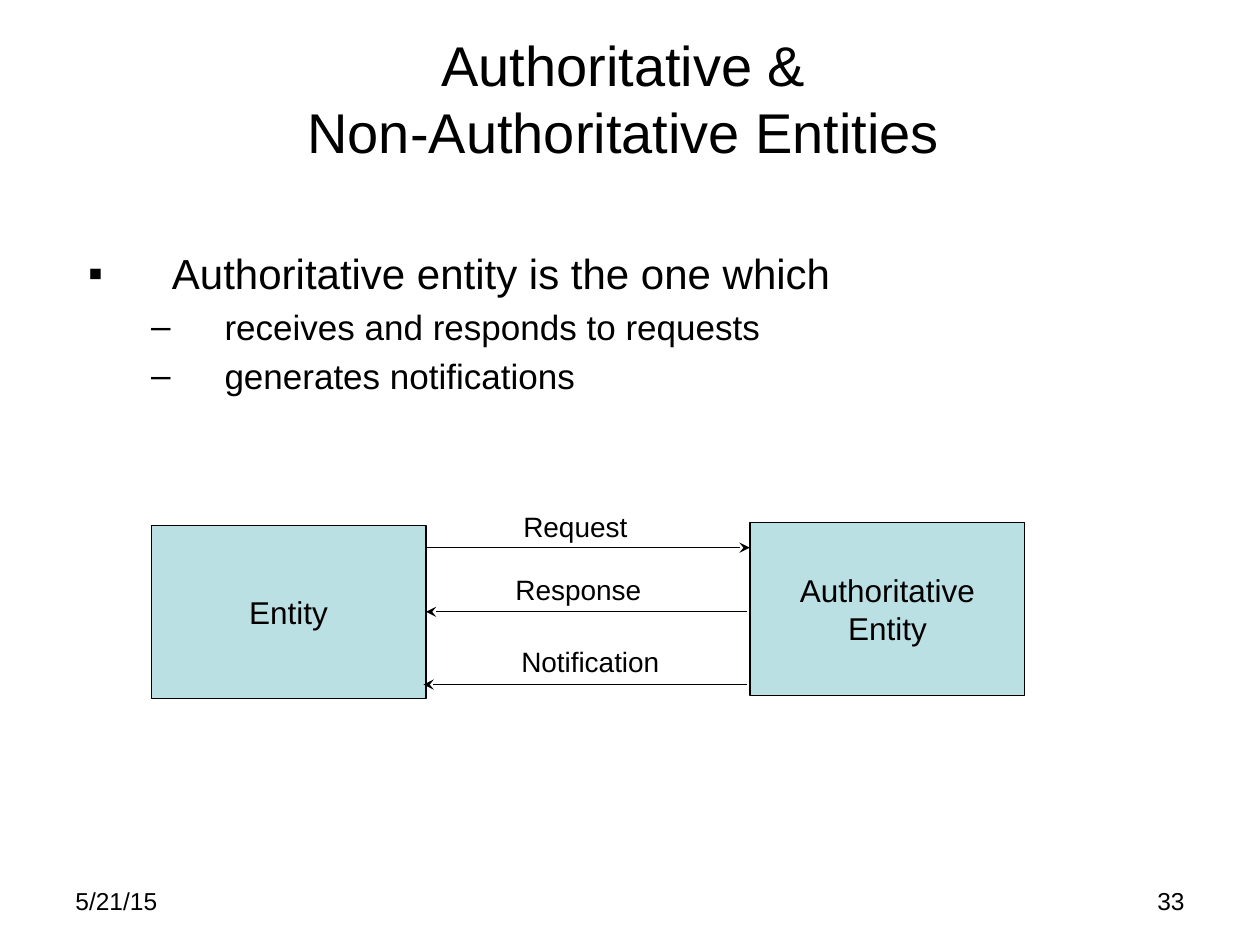
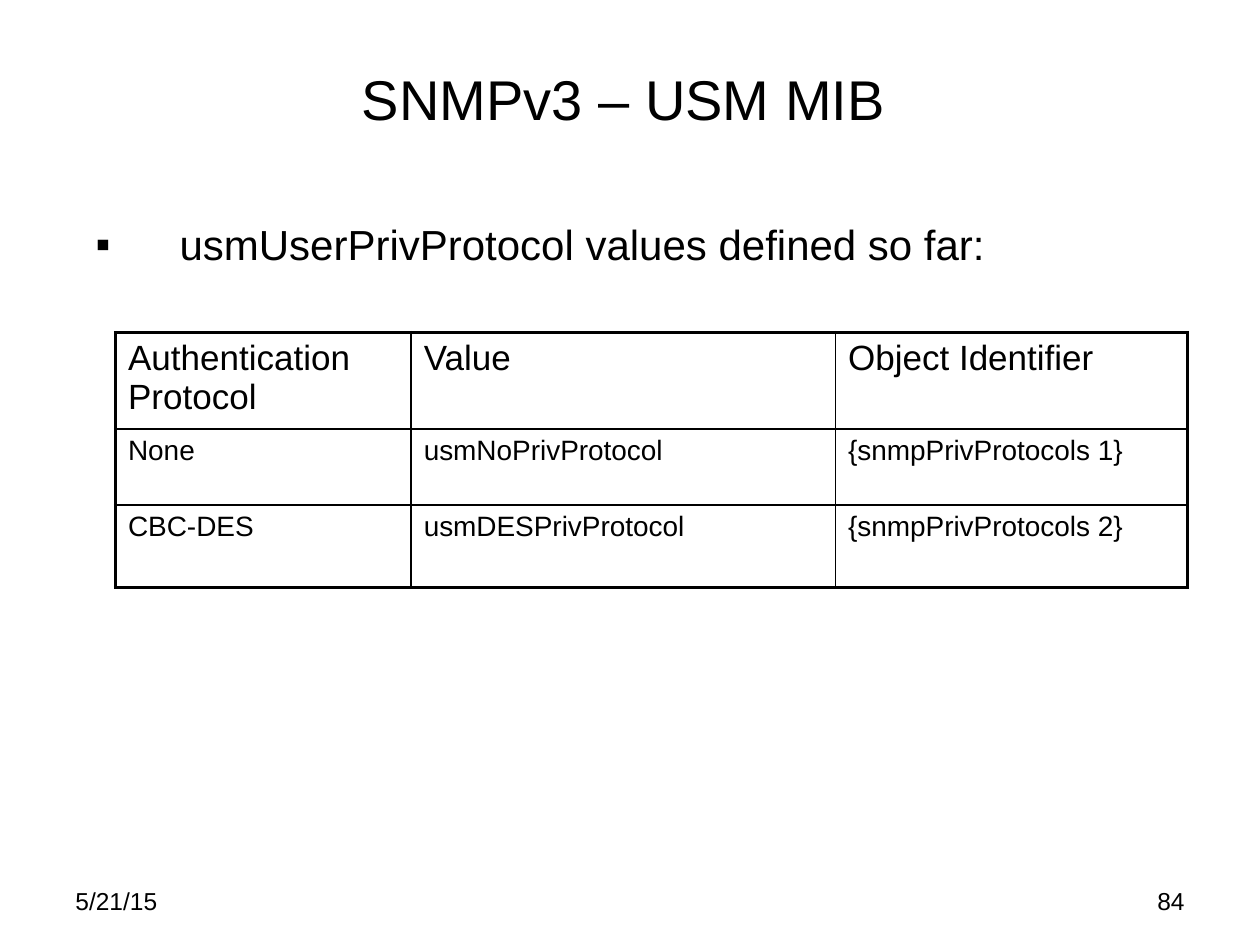
from dataclasses import dataclass

from lxml import etree
from pptx import Presentation
from pptx.dml.color import RGBColor
from pptx.enum import shapes, text
from pptx.oxml import ns
from pptx.util import Pt


@dataclass(frozen=True)
class Theme:
    font: str = "Arial"
    ink: str = "000000"
    paper: str = "FFFFFF"
    box: str = "BBE0E3"
    title: int = 32
    head: int = 24
    sub: int = 20
    shape: int = 18
    label: int = 16
    foot: int = 14
    thin: float = 0.75
    rule: float = 1
    frame: float = 2.25


T = Theme()
LEFT, MID, RIGHT = text.PP_ALIGN.LEFT, text.PP_ALIGN.CENTER, text.PP_ALIGN.RIGHT
# Per level: bullet, type size, text indent
LEVELS = [("▪", T.head, 48, 48), ("–", T.sub, 78, 42)]


def color(code):
    return RGBColor.from_string(code)


def sub(node, tag, **attrs):
    return etree.SubElement(node, ns.qn(tag), attrs)


# Text
def write(par, words, size=T.label, align=LEFT, before=0):
    par.text = words
    par.alignment = align
    par.space_before = Pt(before)
    for run in par.runs:
        run.font.name = T.font
        run.font.size = Pt(size)
        run.font.color.rgb = color(T.ink)


def label(slide, words, x, y, w, h, mid=False, **form):
    frame = slide.shapes.add_textbox(Pt(x), Pt(y), Pt(w), Pt(h)).text_frame
    frame.word_wrap = True
    if mid:
        frame.vertical_anchor = text.MSO_ANCHOR.MIDDLE
    write(frame.paragraphs[0], words, **form)
    return frame


def bullets(slide, items, x, y):
    box = slide.shapes.add_textbox(Pt(x), Pt(y), Pt(641), Pt(335.5))
    frame = box.text_frame
    frame.word_wrap = True
    for i, (level, words) in enumerate(items):
        par = frame.add_paragraph() if i else frame.paragraphs[0]
        mark, size, left, hang = LEVELS[level]
        write(par, words, size=size, before=size * 0.2)
        par.level = level
        props = par._p.get_or_add_pPr()
        props.set("marL", str(Pt(left)))
        props.set("indent", str(-Pt(hang)))
        sub(props, "a:buFont", typeface=T.font)
        sub(props, "a:buChar", char=mark)


# Diagram parts
def block(slide, lines, x, y):
    box = slide.shapes.add_shape(
        shapes.MSO_SHAPE.RECTANGLE, Pt(x), Pt(y), Pt(157), Pt(98.8))
    box.shadow.inherit = False
    box.fill.solid()
    box.fill.fore_color.rgb = color(T.box)
    box.line.color.rgb = color(T.ink)
    box.line.width = Pt(T.thin)
    frame = box.text_frame
    frame.word_wrap = False
    frame.vertical_anchor = text.MSO_ANCHOR.MIDDLE
    for i, words in enumerate(lines):
        par = frame.add_paragraph() if i else frame.paragraphs[0]
        write(par, words, size=T.shape, align=MID)
    return box


def arrow(slide, start, end, y):
    line = slide.shapes.add_connector(
        shapes.MSO_CONNECTOR.STRAIGHT, Pt(start), Pt(y), Pt(end), Pt(y))
    line.line.color.rgb = color(T.ink)
    line.line.width = Pt(T.thin)
    sub(line.line._get_or_add_ln(), "a:tailEnd", type="stealth")
    sub(line._element.spPr, "a:effectLst")
    return line


# Table
def border(cell, sides):
    props = cell._tc.get_or_add_tcPr()
    for i, (side, width) in enumerate(sides.items()):
        line = etree.Element(ns.qn(f"a:ln{side}"), w=str(Pt(width)))
        sub(sub(line, "a:solidFill"), "a:srgbClr", val=T.ink)
        props.insert(i, line)


def grid(slide, rows, x, y, widths, heights):
    table = slide.shapes.add_table(
        len(rows), len(widths), Pt(x), Pt(y),
        Pt(sum(widths)), Pt(sum(heights))).table
    table.first_row = table.horz_banding = False
    for col, width in zip(table.columns, widths):
        col.width = Pt(width)
    for row, height in zip(table.rows, heights):
        row.height = Pt(height)
    for r, row in enumerate(rows):
        for c, words in enumerate(row):
            cell = table.cell(r, c)
            cell.fill.solid()
            cell.fill.fore_color.rgb = color(T.paper)
            size = T.label if r else T.sub
            write(cell.text_frame.paragraphs[0], words, size=size,
                  before=size * 0.2)
            edges = {"L": c == 0, "R": c == len(widths) - 1,
                     "T": r == 0, "B": r == len(rows) - 1}
            border(cell, {side: T.frame if outer else T.rule
                          for side, outer in edges.items()})


# Shared slide frame
def page(deck, title, number):
    slide = deck.slides.add_slide(deck.slide_layouts[6])
    label(slide, "5/21/15", 36, 502.5, 168, 37.5, size=T.foot)
    label(slide, number, 516, 502.5, 168, 37.5, size=T.foot, align=RIGHT)
    label(slide, title, 32.4, 10.8, 648, 90, mid=True, size=T.title, align=MID)
    return slide


def roles(deck):
    slide = page(deck, "Authoritative &\vNon-Authoritative Entities", "33")
    bullets(slide, [(0, "Authoritative entity is the one which"),
                    (1, "receives and responds to requests"),
                    (1, "generates notifications")], 43.2, 138)

    # Two entities and their messages
    near = block(slide, ["Entity"], 86.4, 300.2)
    block(slide, ["Authoritative", "Entity"], 428.6, 298.5)
    arrow(slide, 243.4, 428.4, 313)
    reply = arrow(slide, 427, 243.4, 349.6)
    reply.end_connect(near, 3)
    arrow(slide, 427, 242, 391.2)
    for words, x, y in [("Request", 292, 287.5), ("Response", 287.5, 323.8),
                        ("Notification", 290.8, 364.6)]:
        label(slide, words, x, y, 100, 26.6)


def values(deck):
    slide = page(deck, "SNMPv3 – USM MIB", "84")
    bullets(slide, [(0, "usmUserPrivProtocol values defined so far:")],
            47.5, 121.5)
    grid(slide, [
        ["Authentication Protocol", "Value", "Object Identifier"],
        ["None", "usmNoPrivProtocol", "{snmpPrivProtocols 1}"],
        ["CBC-DES", "usmDESPrivProtocol", "{snmpPrivProtocols 2}"],
    ], 66, 190, [169, 242.5, 201], [51.5, 43.2, 47.3])


def main():
    deck = Presentation()
    deck.slide_width, deck.slide_height = Pt(720), Pt(540)
    roles(deck)
    values(deck)
    deck.save("out.pptx")


if __name__ == "__main__":
    main()
